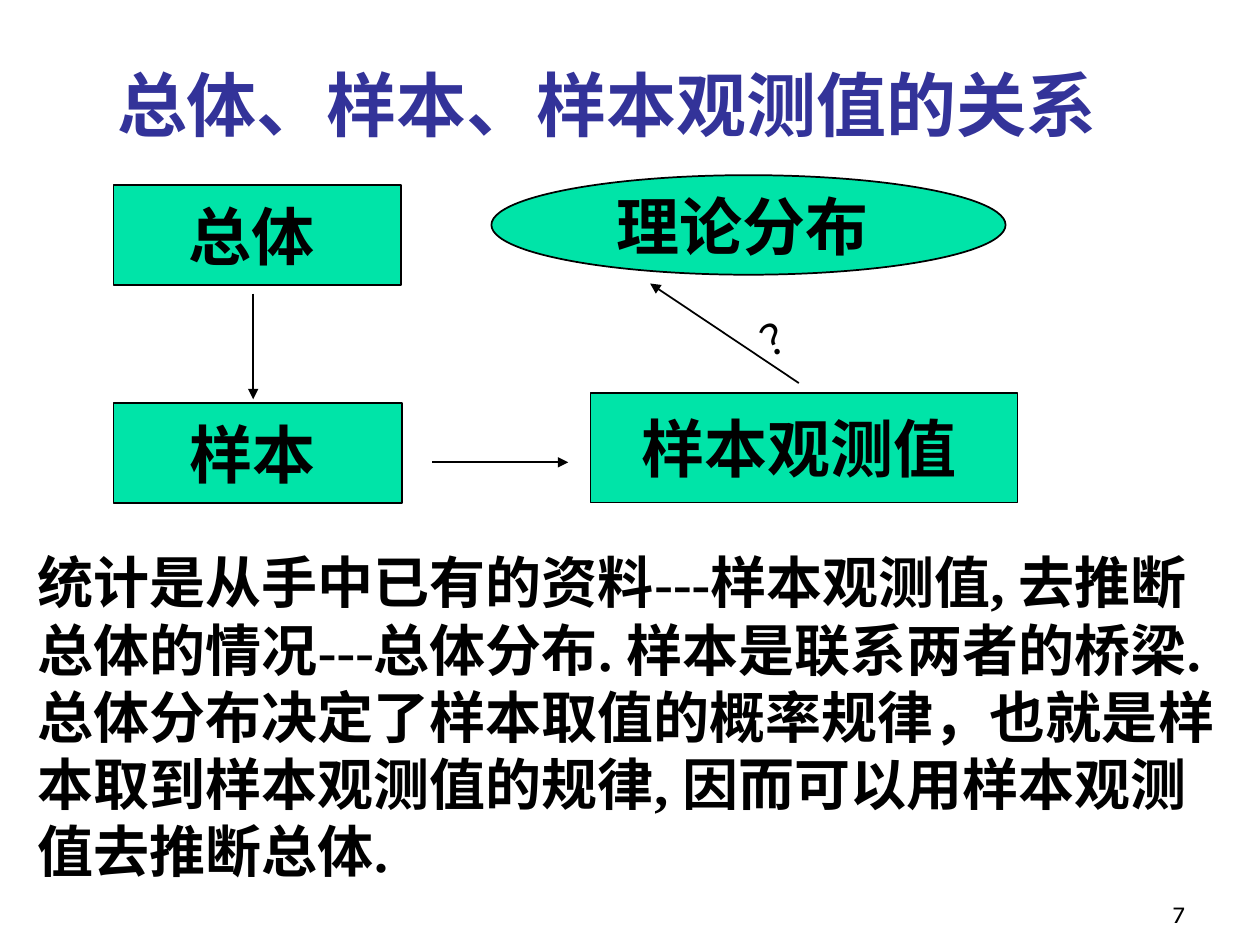
from dataclasses import dataclass

from lxml import etree
from pptx import Presentation
from pptx import util as u
from pptx.dml.color import RGBColor
from pptx.enum import shapes, text
from pptx.oxml import ns


@dataclass(frozen=True)
class Theme:
    ink: str = "000000"
    blue: str = "333399"
    green: str = "00E4A8"
    head: float = 40
    node: float = 36
    gap: float = 28
    body: float = 32
    mark: float = 24
    page: float = 14
    line: float = 1
    serif: str = "Times New Roman"
    sans: str = "Karla"
    asian: str = "Noto Sans CJK SC"


@dataclass(frozen=True)
class Run:
    words: str
    size: float
    face: str
    tint: str
    bold: bool = False


@dataclass(frozen=True)
class Node:
    words: str
    box: tuple[float, float, float, float]
    kind: int = shapes.MSO_SHAPE.RECTANGLE


@dataclass(frozen=True)
class Arrow:
    start: tuple[float, float]
    end: tuple[float, float]


T = Theme()
deck = Presentation()
deck.slide_width, deck.slide_height = u.Pt(720), u.Pt(540)
slide = deck.slides.add_slide(deck.slide_layouts[6])


def child(parent, tag: str, **attrs: str):
    return etree.SubElement(parent, ns.qn(tag), attrs)


def write(shape, runs: list[Run], frame: dict, para: dict):
    """Fill a shape with one paragraph of formatted runs."""
    body = shape.text_frame
    line = body.paragraphs[0]
    for target, values in ((body, frame), (line, para)):
        for name, value in values.items():
            setattr(target, name, value)
    for item in runs:
        run = line.add_run()
        run.text = item.words
        form = {"size": u.Pt(item.size), "name": item.face, "bold": item.bold}
        for name, value in form.items():
            setattr(run.font, name, value)
        run.font.color.rgb = RGBColor.from_string(item.tint)
        child(run.font._element, "a:ea", typeface=T.asian)
    return line


def label(box: tuple, runs: list[Run], frame: dict, para: dict):
    shape = slide.shapes.add_textbox(*map(u.Pt, box))
    write(shape, runs, {"word_wrap": True} | frame, para)
    return shape


def block(node: Node) -> None:
    shape = slide.shapes.add_shape(node.kind, *map(u.Pt, node.box))
    shape.shadow.inherit = False
    shape.fill.solid()
    shape.fill.fore_color.rgb = RGBColor.from_string(T.green)
    shape.line.color.rgb = RGBColor.from_string(T.ink)
    shape.line.width = u.Pt(T.line)
    runs = [Run(node.words, T.node, T.serif, T.ink, True),
            Run(" ", T.gap, T.serif, T.ink, True)]
    write(shape, runs,
          {"word_wrap": False, "vertical_anchor": text.MSO_ANCHOR.MIDDLE},
          {"alignment": text.PP_ALIGN.CENTER})


def link(arrow: Arrow) -> None:
    wire = slide.shapes.add_connector(
        shapes.MSO_CONNECTOR.STRAIGHT, *map(u.Pt, arrow.start + arrow.end))
    wire.line.color.rgb = RGBColor.from_string(T.ink)
    wire.line.width = u.Pt(T.line)
    child(wire.line._get_or_add_ln(), "a:tailEnd", type="triangle")
    child(wire._element.spPr, "a:effectLst")


GROW = {"auto_size": text.MSO_AUTO_SIZE.SHAPE_TO_FIT_TEXT}

# Title
label((59.8, 31.7, 612.7, 55.4),
      [Run(words, T.head, face, T.blue, True) for words, face in (
          ("总体", T.sans), ("、", T.serif),
          ("样本、样本观测值的关系", T.sans))],
      GROW, {})

# Flow of boxes and arrows
NODES = [
    Node("总体", (64.8, 105.8, 164.5, 56.9)),
    Node("样本", (64.8, 230.4, 164.9, 56.9)),
    Node("样本观测值", (337.4, 224.6, 244.1, 62.6)),
    Node("理论分布", (280.8, 100.1, 293.8, 56.9), shapes.MSO_SHAPE.OVAL),
]
ARROWS = [
    Arrow((144.7, 167.8), (144.7, 228.2)),
    Arrow((247, 264.2), (324.7, 264.2)),
    Arrow((456.5, 218.9), (371.5, 162)),
]
for node in NODES:
    block(node)
for arrow in ARROWS:
    link(arrow)

# Tilted question mark with outlined glyph
query = label((427.7, 173.5, 36, 36), [Run("？", T.mark, T.asian, T.ink)],
              {"word_wrap": False}, {})
query.rotation = 336.1
edge = etree.Element(ns.qn("a:ln"), w=str(u.Pt(0.75)))
child(child(edge, "a:solidFill"), "a:srgbClr", val=T.ink)
query.text_frame.paragraphs[0].runs[0].font._element.insert(0, edge)

# Explanation
label((14.4, 309.6, 691.9, 199.4),
      [Run("统计是从手中已有的资料---样本观测值, 去推断总体的情况---总体分布. "
           "样本是联系两者的桥梁. 总体分布决定了样本取值的概率规律，"
           "也就是样本取到样本观测值的规律, 因而可以用样本观测值去推断总体. ",
           T.body, T.serif, T.ink, True)],
      GROW, {"space_before": u.Pt(20)})

# Page number
label((534.2, 498.2, 149.8, 36), [Run("7", T.page, T.sans, T.ink)],
      {"vertical_anchor": text.MSO_ANCHOR.BOTTOM},
      {"alignment": text.PP_ALIGN.RIGHT})

deck.save("out.pptx")
